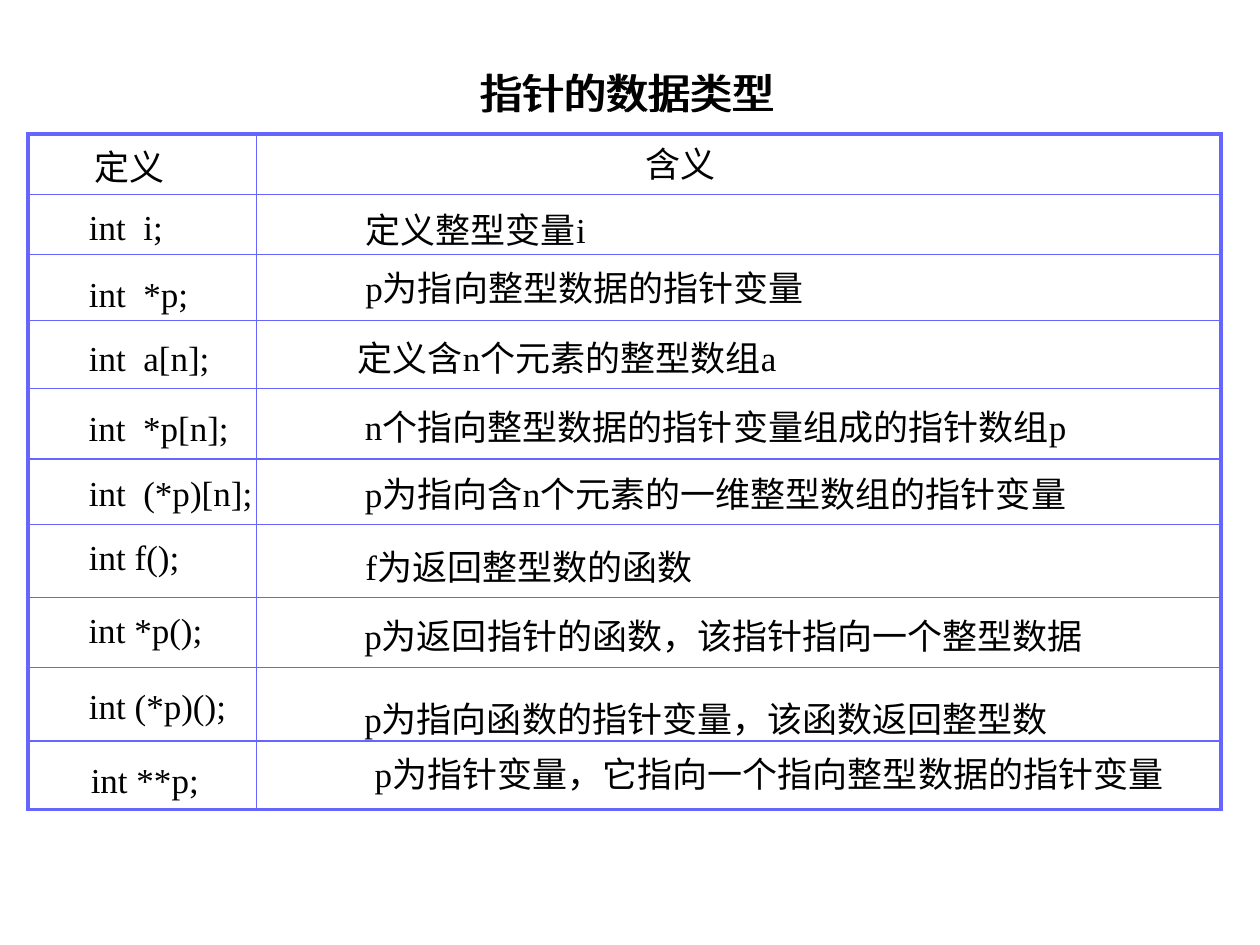
from lxml import etree
from pptx import Presentation
from pptx import util as u
from pptx.dml.color import RGBColor
from pptx.enum import shapes, text
from pptx.oxml.ns import qn

COLORS = {"ink": "000000", "rule": "6666FF", "paper": "FFFFFF"}
COLUMNS, ROWS = 100, 75
LEFT, RIGHT, TOP, BOTTOM, DIVIDER = 2.25, 96.9, 10.63, 64.25, 20.35
CELL_HEIGHT = 4.4

# Lower rule of each row, then text, left, top and width of both its cells.
TABLE = [
    (15.45, ("定义", 6.5, 11, 7.5), ("含义", 50.3, 10.8, 7.5)),
    (20.2, ("int  i;", 6.05, 15.8, 7.9), ("定义整型变量i", 27.7, 16, 20.1)),
    (25.44, ("int  *p;", 6.05, 21.1, 9.9), ("p为指向整型数据的指针变量", 27.7, 20.6, 37.4)),
    (30.83, ("int  a[n];", 6.05, 26.2, 11.6), ("定义含n个元素的整型数组a", 26.4, 26.2, 37.2)),
    (36.44, ("int  *p[n];", 6.05, 31.7, 13.1),
     ("n个指向整型数据的指针变量组成的指针数组p", 27.3, 31.65, 59)),
    (41.63, ("int  (*p)[n];", 6.05, 36.9, 15),
     ("p为指向含n个元素的一维整型数组的指针变量", 27, 37, 59.6)),
    (47.43, ("int f();", 6.05, 42, 9.2), ("f为返回整型数的函数", 27.7, 42.8, 28.6)),
    (53, ("int *p();", 6.05, 47.8, 11),
     ("p为返回指针的函数，该指针指向一个整型数据", 27.6, 48.2, 59.7)),
    (58.82, ("int (*p)();", 6.05, 53.8, 12.9),
     ("p为指向函数的指针变量，该函数返回整型数", 27.6, 54.8, 56.9)),
    (BOTTOM, ("int **p;", 6.2, 59.65, 10.6),
     ("p为指针变量，它指向一个指向整型数据的指针变量", 28.4, 59.2, 65.3)),
]


class Canvas:
    """Places elements on a slide, measured in grid columns and rows."""

    def __init__(self, deck):
        self.column = deck.slide_width / COLUMNS
        self.row = deck.slide_height / ROWS
        self.slide = deck.slides.add_slide(deck.slide_layouts[6])

    def grid(self, *lengths):
        """Turn alternating columns and rows into slide units."""
        units = (self.column, self.row) * 2
        return [u.Emu(round(n * unit)) for n, unit in zip(lengths, units)]

    def stroke(self, line, width):
        line.color.rgb = RGBColor.from_string(COLORS["rule"])
        line.width = u.Pt(width)

    def frame(self, left, top, width, height):
        frame = self.slide.shapes.add_shape(
            shapes.MSO_SHAPE.RECTANGLE, *self.grid(left, top, width, height))
        frame.shadow.inherit = False
        frame.fill.solid()
        frame.fill.fore_color.rgb = RGBColor.from_string(COLORS["paper"])
        self.stroke(frame.line, 2.25)
        outline = frame._element.spPr.find(qn("a:ln"))
        etree.SubElement(outline, qn("a:miter"), lim="800000")

    def rule(self, *ends):
        rule = self.slide.shapes.add_connector(
            shapes.MSO_CONNECTOR.STRAIGHT, *self.grid(*ends))
        self.stroke(rule.line, 0.75)
        etree.SubElement(rule._element.spPr, qn("a:effectLst"))

    def label(self, words, left, top, width, height=CELL_HEIGHT, size=20):
        box = self.slide.shapes.add_textbox(*self.grid(left, top, width, height))
        frame_format = {"word_wrap": False,
                        "auto_size": text.MSO_AUTO_SIZE.SHAPE_TO_FIT_TEXT,
                        "vertical_anchor": text.MSO_ANCHOR.MIDDLE,
                        "margin_left": u.Inches(0.05),
                        "margin_right": u.Inches(0.05)}
        for name, value in frame_format.items():
            setattr(box.text_frame, name, value)
        para = box.text_frame.paragraphs[0]
        para.alignment = text.PP_ALIGN.CENTER
        span = para.add_run()
        span.text = words
        for name, value in {"name": "Times New Roman", "size": u.Pt(size)}.items():
            setattr(span.font, name, value)
        span.font.color.rgb = RGBColor.from_string(COLORS["ink"])


def main():
    deck = Presentation()
    deck.slide_width, deck.slide_height = u.Inches(10), u.Inches(7.5)
    canvas = Canvas(deck)

    canvas.frame(LEFT, TOP, RIGHT - LEFT, BOTTOM - TOP)
    for bottom, *_ in TABLE[:-1]:
        canvas.rule(LEFT, bottom, RIGHT, bottom)
    canvas.rule(DIVIDER, TOP, DIVIDER, BOTTOM)
    for _, *cells in TABLE:
        for cell in cells:
            canvas.label(*cell)

    # Two slightly shifted layers thicken the title.
    for left in (37.2, 37.05):
        canvas.label("指针的数据类型", left, 4.87, 25.3, height=5, size=24)

    deck.save("out.pptx")


if __name__ == "__main__":
    main()
